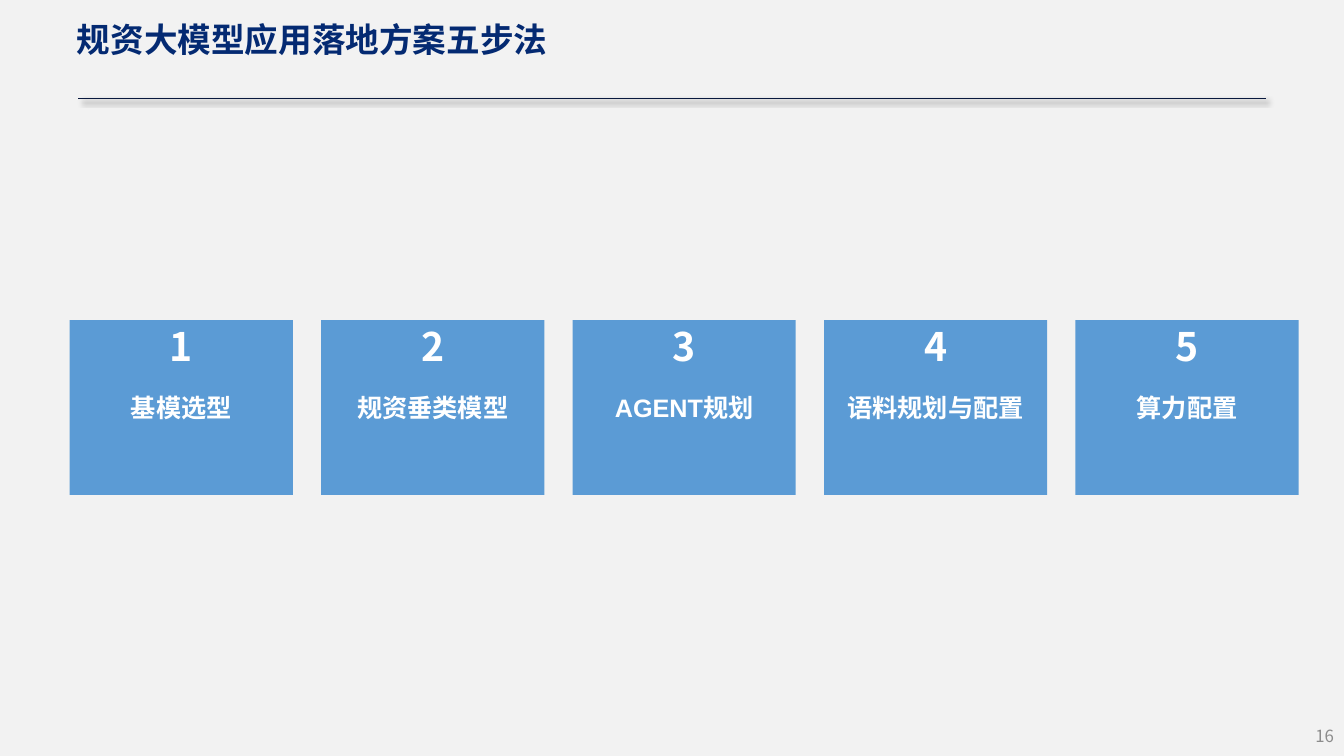
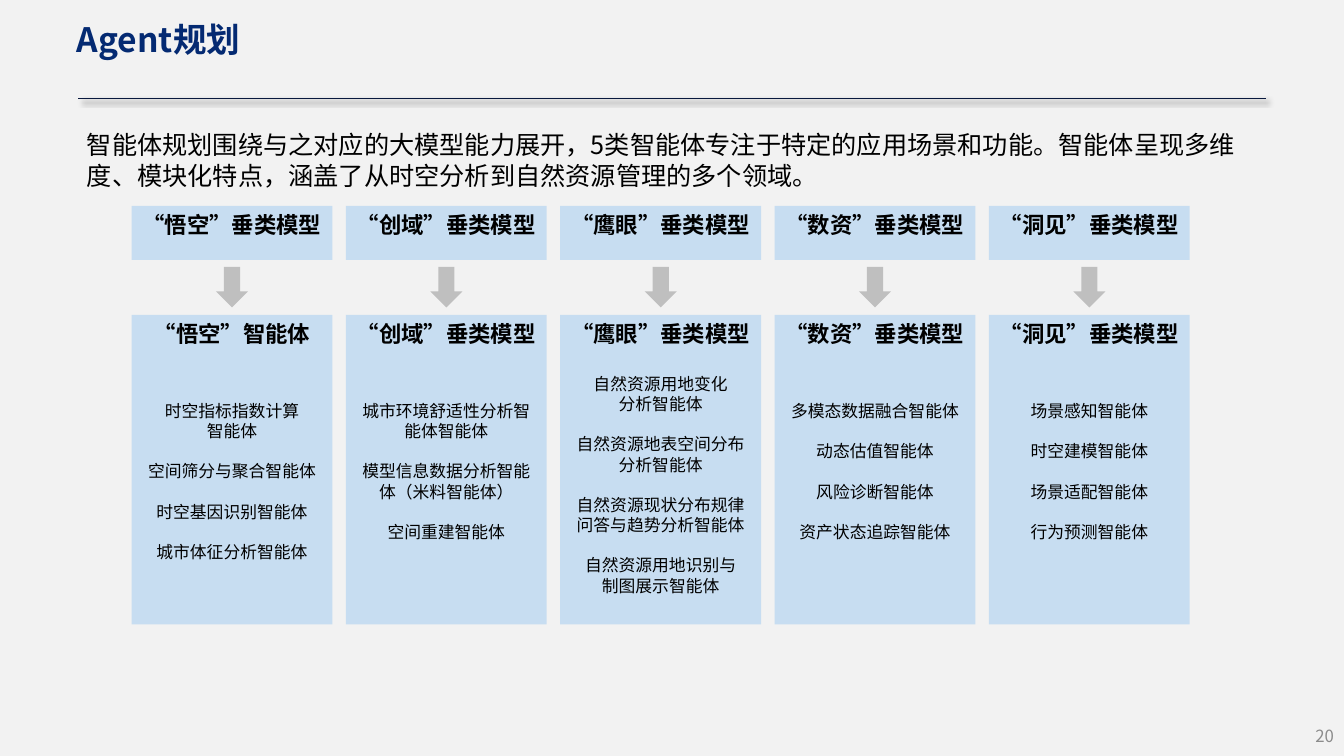
from lxml import etree
from pptx import Presentation
from pptx.dml.color import RGBColor
from pptx.enum import shapes, text
from pptx.oxml import parse_xml
from pptx.oxml.ns import nsdecls, qn
from pptx.util import Pt

BACKGROUND = RGBColor(0xF2, 0xF2, 0xF2)
NAVY = RGBColor(0x04, 0x2A, 0x72)
RULE = RGBColor(0x09, 0x19, 0x3E)
PAGE_GRAY = RGBColor(0x8C, 0x8C, 0x8C)
BLUE = RGBColor(0x5B, 0x9B, 0xD5)
PALE_BLUE = RGBColor(0xC7, 0xDD, 0xF1)
ARROW_GRAY = RGBColor(0xBF, 0xBF, 0xBF)
WHITE = RGBColor(0xFF, 0xFF, 0xFF)
BLACK = RGBColor(0, 0, 0)
FONT = "Noto Sans CJK SC"
LEFT, CENTER, RIGHT = text.PP_ALIGN.LEFT, text.PP_ALIGN.CENTER, text.PP_ALIGN.RIGHT
TOP, MIDDLE = text.MSO_ANCHOR.TOP, text.MSO_ANCHOR.MIDDLE

RULE_SHADOW = f"""<a:effectLst {nsdecls("a")}>
  <a:outerShdw blurRad="50800" dist="38100" dir="2700000" algn="tl" rotWithShape="0">
    <a:srgbClr val="000000"><a:alpha val="40000"/></a:srgbClr>
  </a:outerShdw>
</a:effectLst>"""


def write(shape, content, size, color, bold=False, align=LEFT, anchor=TOP, latin=FONT):
    """Fill the shape with text, one paragraph per line, all in one style."""
    frame = shape.text_frame
    frame.text = content
    frame.word_wrap = True
    frame.vertical_anchor = anchor
    for paragraph in frame.paragraphs:
        paragraph.alignment = align
        for run in paragraph.runs:
            run.font.size = Pt(size)
            run.font.bold = bold
            run.font.color.rgb = color
            run.font.name = latin
            properties = run.font._element
            properties.set("lang", "zh-CN")
            east_asian = etree.SubElement(properties, qn("a:ea"))
            east_asian.set("typeface", FONT)
    return frame


def add_block(slide, kind, left, top, width, height, color):
    """Add a flat preset shape without outline."""
    shape = slide.shapes.add_shape(kind, Pt(left), Pt(top), Pt(width), Pt(height))
    shape.shadow.inherit = False
    shape.fill.solid()
    shape.fill.fore_color.rgb = color
    shape.line.fill.background()
    return shape


presentation = Presentation()
presentation.slide_width = Pt(960)
presentation.slide_height = Pt(540)

# Shared frame: background, title, rule and page number
slides = []
for title, page in (("规资大模型应用落地方案五步法", "16"), ("Agent规划", "20")):
    slide = presentation.slides.add_slide(presentation.slide_layouts[6])
    slide.background.fill.solid()
    slide.background.fill.fore_color.rgb = BACKGROUND

    rule = slide.shapes.add_connector(
        shapes.MSO_CONNECTOR.STRAIGHT, Pt(56), Pt(70.4), Pt(904), Pt(70.4))
    rule.line.color.rgb = RULE
    rule.line.width = Pt(0.5)
    rule._element.spPr.append(parse_xml(RULE_SHADOW))

    title_box = slide.shapes.add_textbox(Pt(55), Pt(16.6), Pt(850), Pt(39))
    frame = write(title_box, title, 24, NAVY, bold=True)
    frame.margin_left = frame.margin_top = frame.margin_right = frame.margin_bottom = 0
    frame.paragraphs[0].line_spacing = 0.9

    page_box = slide.shapes.add_textbox(Pt(744), Pt(511), Pt(216), Pt(29))
    write(page_box, page, 12, PAGE_GRAY, align=RIGHT, anchor=MIDDLE)
    slides.append(slide)

steps_slide, agents_slide = slides

# Five steps
STEP_LEFT, STEP_PITCH, STEP_WIDTH = 49.8, 179.6, 159.4
steps = (
    ("基模选型", FONT),
    ("规资垂类模型", FONT),
    ("AGENT规划", "Arial"),
    ("语料规划与配置", "Arial"),
    ("算力配置", FONT),
)
for index, (name, latin) in enumerate(steps):
    left = STEP_LEFT + index * STEP_PITCH
    card = add_block(steps_slide, shapes.MSO_SHAPE.RECTANGLE,
                     left, 228.6, STEP_WIDTH, 125, BLUE)
    write(card, name, 18, WHITE, bold=True, align=CENTER, anchor=MIDDLE, latin=latin)
    number_box = steps_slide.shapes.add_textbox(
        Pt(left), Pt(227), Pt(STEP_WIDTH), Pt(41))
    write(number_box, str(index + 1), 28, WHITE, bold=True, align=CENTER)

# Models and their agents
intro_box = agents_slide.shapes.add_textbox(Pt(55), Pt(89), Pt(840), Pt(51))
write(intro_box,
      "智能体规划围绕与之对应的大模型能力展开，5类智能体专注于特定的应用场景和功能。"
      "智能体呈现多维度、模块化特点，涵盖了从时空分析到自然资源管理的多个领域。",
      18, BLACK)

COLUMN_LEFT, COLUMN_PITCH, COLUMN_WIDTH = 94, 153.1, 143.5
ARROW_WIDTH = 23
ITEM_GAP = 14.4
# model, agent heading, gap below the heading, agents (each may have several lines)
columns = (
    ("“悟空”垂类模型", "“悟空”智能体", 38.4,
     ("时空指标指数计算\n智能体", "空间筛分与聚合智能体", "时空基因识别智能体",
      "城市体征分析智能体")),
    ("“创域”垂类模型", "“创域”垂类模型", 38.4,
     ("城市环境舒适性分析智能体智能体", "模型信息数据分析智能体（米料智能体）",
      "空间重建智能体")),
    ("“鹰眼”垂类模型", "“鹰眼”垂类模型", 19.2,
     ("自然资源用地变化\n分析智能体", "自然资源地表空间分布\n分析智能体",
      "自然资源现状分布规律问答与趋势分析智能体", "自然资源用地识别与\n制图展示智能体")),
    ("“数资”垂类模型", "“数资”垂类模型", 38.4,
     ("多模态数据融合智能体", "动态估值智能体", "风险诊断智能体", "资产状态追踪智能体")),
    ("“洞见”垂类模型", "“洞见”垂类模型", 38.4,
     ("场景感知智能体", "时空建模智能体", "场景适配智能体", "行为预测智能体")),
)
for index, (model, heading, heading_gap, agents) in enumerate(columns):
    left = COLUMN_LEFT + index * COLUMN_PITCH
    model_card = add_block(agents_slide, shapes.MSO_SHAPE.RECTANGLE,
                           left, 147, COLUMN_WIDTH, 38.6, PALE_BLUE)
    write(model_card, model, 16, BLACK, bold=True, align=CENTER)

    add_block(agents_slide, shapes.MSO_SHAPE.DOWN_ARROW,
              left + (COLUMN_WIDTH - ARROW_WIDTH) / 2, 190.6, ARROW_WIDTH, 29, ARROW_GRAY)

    agent_card = add_block(agents_slide, shapes.MSO_SHAPE.RECTANGLE,
                           left, 225, COLUMN_WIDTH, 221, PALE_BLUE)
    frame = write(agent_card, "\n".join((heading, *agents)), 12, BLACK, align=CENTER)
    heading_font = frame.paragraphs[0].runs[0].font
    heading_font.size = Pt(16)
    heading_font.bold = True
    first_line = 1
    for agent in agents:
        gap = heading_gap if first_line == 1 else ITEM_GAP
        frame.paragraphs[first_line].space_before = Pt(gap)
        first_line += len(agent.split("\n"))

presentation.save("out.pptx")
